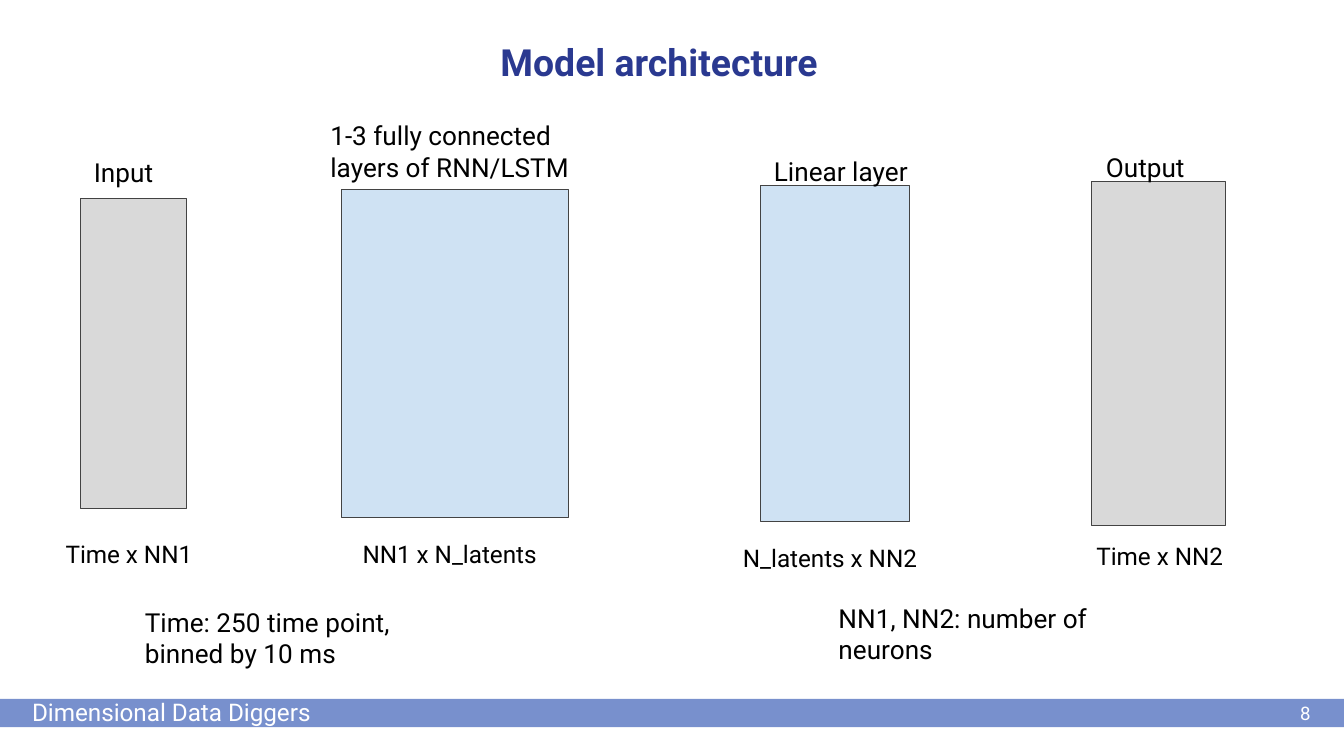
from pptx import Presentation
from pptx import util as u
from pptx.dml.color import RGBColor
from pptx.enum import shapes, text

COLORS = {
    "title": "2A3990",
    "text": "000000",
    "data": "D9D9D9",
    "layer": "CFE2F3",
    "outline": "434343",
    "footer": "7890CD",
    "footer text": "FFFFFF",
}
FONT = "Roboto"
WIDTH = 10
HEIGHT = WIDTH * 9 / 16
MIDDLE = 2.63

TITLE = ("Model architecture", (0.5, 0.19, 8.81, 0.54))
BLOCKS = [
    {"left": 0.6, "width": 0.79, "height": 2.31, "fill": "data"},
    {"left": 2.54, "width": 1.69, "height": 2.44, "fill": "layer"},
    {"left": 5.66, "width": 1.11, "height": 2.5, "fill": "layer"},
    {"left": 8.12, "width": 1, "height": 2.56, "fill": "data"},
]
HEADINGS = [
    ("Input", (0.6, 1.06, 0.79, 0.32)),
    ("1-3 fully connected layers of RNN/LSTM", (2.36, 0.79, 2.34, 0.32)),
    ("Linear layer", (5.66, 1.06, 1.31, 0.26)),
    ("Output", (8.13, 1.03, 0.98, 0.21)),
]
DIMENSIONS = [
    ("NN1 x N_latents", (2.6, 3.91, 1.57, 0.37)),
    ("N_latents x NN2", (5.43, 3.94, 1.57, 0.37)),
    ("Time x NN1", (0.39, 3.91, 2.54, 0.32)),
    ("Time x NN2", (8.06, 3.93, 2.54, 0.32)),
]
NOTES = [
    ("Time: 250 time point, binned by 10 ms", (0.98, 4.41, 2.34, 0.54)),
    ("NN1, NN2: number of neurons", (6.14, 4.38, 2.58, 0.64)),
]
FOOTER_BAR = (0, 5.2, WIDTH, 0.21)
TEAM = ("Dimensional Data Diggers", (0.14, 5.09, 2.55, 0.19))
PAGE_NUMBER = ("8", (9.25, 5.09, 0.6, 0.43))


def rgb(name):
    return RGBColor.from_string(COLORS[name])


def write(box, words, size, color="text", bold=False,
          align=text.PP_ALIGN.LEFT, anchor=text.MSO_ANCHOR.TOP):
    frame = box.text_frame
    frame.text = words
    frame.word_wrap = True
    frame.auto_size = text.MSO_AUTO_SIZE.NONE
    frame.vertical_anchor = anchor
    frame.margin_left = frame.margin_right = u.Inches(0.1)
    frame.margin_top = frame.margin_bottom = u.Inches(0.1)
    para = frame.paragraphs[0]
    para.alignment = align
    para.line_spacing = 1.0
    font = para.runs[0].font
    font.name, font.size, font.bold = FONT, u.Pt(size), bold
    font.color.rgb = rgb(color)


def add_text(page, words, place, size, **style):
    box = page.shapes.add_textbox(*map(u.Inches, place))
    write(box, words, size, **style)


def add_rectangle(page, place, fill, outline=None):
    box = page.shapes.add_shape(
        shapes.MSO_SHAPE.RECTANGLE, *map(u.Inches, place))
    box.shadow.inherit = False
    box.fill.solid()
    box.fill.fore_color.rgb = rgb(fill)
    if outline:
        box.line.color.rgb = rgb(outline)
        box.line.width = u.Pt(0.75)
    else:
        box.line.fill.background()


def main():
    """Build the model architecture slide."""
    deck = Presentation()
    deck.slide_width, deck.slide_height = u.Inches(WIDTH), u.Inches(HEIGHT)
    page = deck.slides.add_slide(deck.slide_layouts[5])

    words, place = TITLE
    title = page.shapes.title
    title.left, title.top, title.width, title.height = map(u.Inches, place)
    write(title, words, 20, "title", True, text.PP_ALIGN.CENTER)

    for block in BLOCKS:
        top = MIDDLE - block["height"] / 2
        place = (block["left"], top, block["width"], block["height"])
        add_rectangle(page, place, block["fill"], "outline")
    for labels, size in ((HEADINGS, 14), (DIMENSIONS, 13)):
        for words, place in labels:
            add_text(page, words, place, size)

    add_rectangle(page, FOOTER_BAR, "footer")
    add_text(page, *TEAM, 13, color="footer text")
    add_text(page, *PAGE_NUMBER, 10, color="footer text",
             align=text.PP_ALIGN.RIGHT, anchor=text.MSO_ANCHOR.MIDDLE)
    for words, place in NOTES:
        add_text(page, words, place, 14)
    deck.save("out.pptx")


if __name__ == "__main__":
    main()
